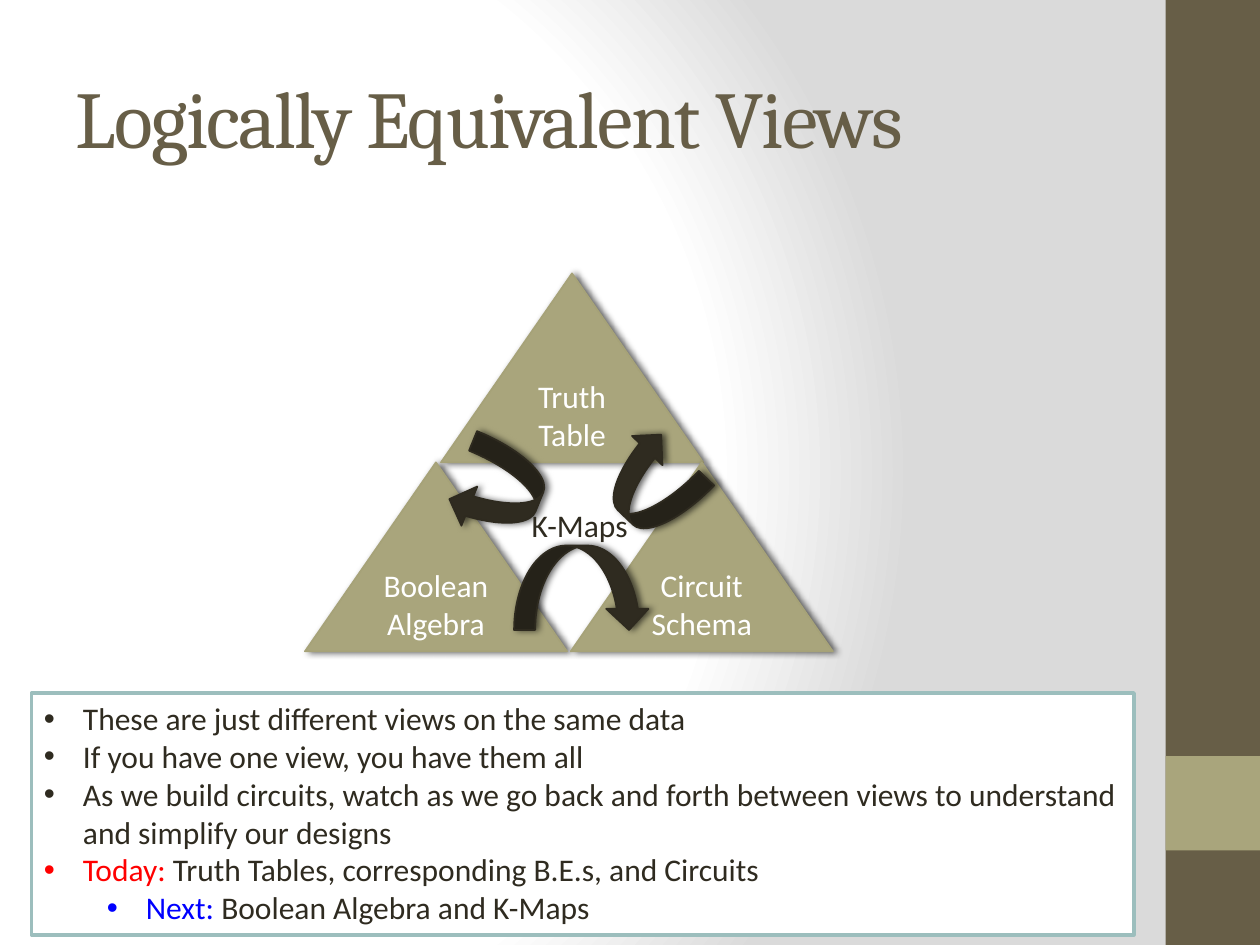
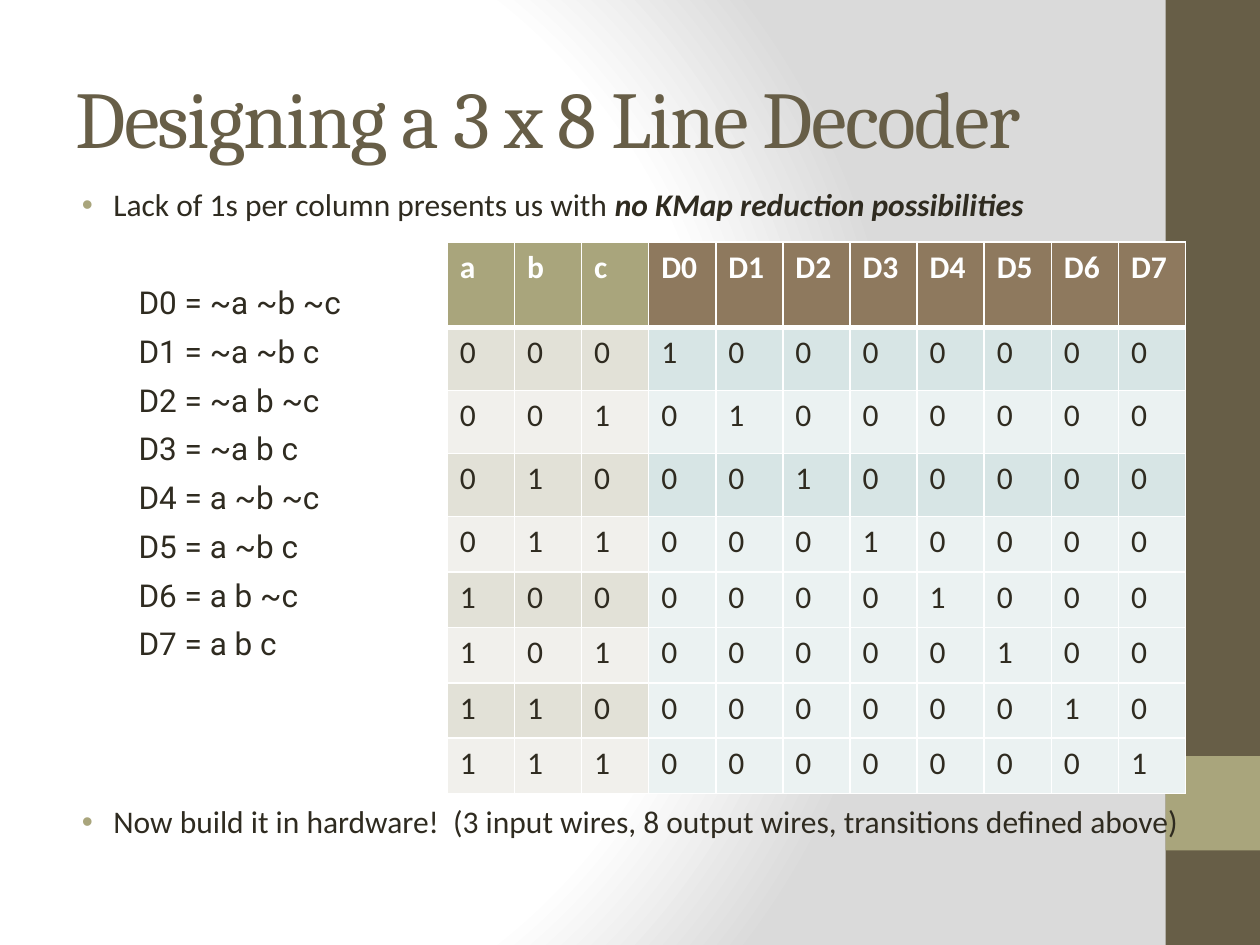
from dataclasses import dataclass
from typing import Optional

from lxml.etree import SubElement
from pptx import Presentation
from pptx.dml.color import RGBColor
from pptx.enum.shapes import MSO_SHAPE
from pptx.enum.text import MSO_ANCHOR, MSO_AUTO_SIZE, PP_ALIGN
from pptx.oxml import parse_xml
from pptx.oxml.ns import nsdecls, qn
from pptx.util import Inches, Pt

# Shared look
WHITE = RGBColor(0xFF, 0xFF, 0xFF)
BLACK = RGBColor(0x00, 0x00, 0x00)
GREY = RGBColor(0xDA, 0xDA, 0xDA)
INK = RGBColor(0x2F, 0x2B, 0x20)
INK_EDGE = RGBColor(0x2E, 0x2A, 0x1F)
BROWN = RGBColor(0x67, 0x5E, 0x47)
OLIVE = RGBColor(0xA9, 0xA5, 0x7C)
OLIVE_EDGE = RGBColor(0xA6, 0xA2, 0x78)
TEAL = RGBColor(0x9C, 0xBE, 0xBD)
RED = RGBColor(0xFF, 0x00, 0x00)
BLUE = RGBColor(0x00, 0x00, 0xFF)
OUTPUT_HEADER = RGBColor(0x8E, 0x79, 0x5E)
INPUT_DARK = RGBColor(0xE2, 0xE1, 0xD7)
INPUT_LIGHT = RGBColor(0xF1, 0xF0, 0xEC)
OUTPUT_DARK = RGBColor(0xD7, 0xE5, 0xE5)
OUTPUT_LIGHT = RGBColor(0xEB, 0xF2, 0xF2)
HEADING_FONT, BODY_FONT, EQUATION_FONT = "Cambria", "Calibri", "Roboto"

INPUTS = "abc"
OUTPUT_COUNT = 2 ** len(INPUTS)


@dataclass
class Area:
    left: float
    top: float
    width: float
    height: float

    def lengths(self) -> tuple:
        return tuple(Inches(n) for n in (self.left, self.top, self.width, self.height))


@dataclass
class Span:
    text: str
    color: RGBColor = INK
    emphasis: bool = False


@dataclass
class Figure:
    area: Area
    kind: MSO_SHAPE
    fill: RGBColor
    edge: Optional[RGBColor] = None
    edge_width: float = 1
    text: str = ""
    rotation: float = 0
    shadow: bool = False


TITLE_AREA = Area(0.5, 0.3, 8.33, 1.25)
BANDS = [
    Figure(Area(9.25, 0, 0.75, 7.5), MSO_SHAPE.RECTANGLE, BROWN),
    Figure(Area(9.25, 6, 0.75, 0.75), MSO_SHAPE.RECTANGLE, OLIVE),
]


def place(shape, area: Area) -> None:
    shape.left, shape.top, shape.width, shape.height = area.lengths()


def write(para, *spans: Span, font: str = BODY_FONT, size: float = 18, bold: bool = False,
          align=None, level: int = 0, margin: float = 0, indent: float = 0,
          bullet_color: Optional[RGBColor] = None, before: float = 0, spacing: Optional[float] = None):
    """Fill one paragraph with formatted spans."""
    para.level = level
    properties = para._p.get_or_add_pPr()
    properties.set("marL", str(Inches(margin)))
    properties.set("indent", str(Inches(indent)))
    if bullet_color is not None:
        color = SubElement(properties, qn("a:buClr"))
        SubElement(color, qn("a:srgbClr"), val=str(bullet_color))
        SubElement(properties, qn("a:buFont"), typeface="Arial")
        SubElement(properties, qn("a:buChar"), char="•")
    para.space_before = Pt(before)
    if spacing:
        para.line_spacing = spacing
    if align is not None:
        para.alignment = align
    for span in spans:
        run = para.add_run()
        run.text = span.text
        run.font.name, run.font.size = font, Pt(size)
        run.font.color.rgb = span.color
        run.font.bold = bold or span.emphasis
        run.font.italic = span.emphasis


def next_paragraph(frame, index: int):
    return frame.add_paragraph() if index else frame.paragraphs[0]


def draw_figure(page, figure: Figure):
    shape = page.shapes.add_shape(figure.kind, *figure.area.lengths())
    shape.rotation = figure.rotation
    shape.fill.solid()
    shape.fill.fore_color.rgb = figure.fill
    if figure.edge is None:
        shape.line.fill.background()
    else:
        shape.line.color.rgb = figure.edge
        shape.line.width = Pt(figure.edge_width)
    shape.shadow.inherit = False
    if figure.shadow:
        effects = shape._element.spPr.find(qn("a:effectLst"))
        outer = SubElement(effects, qn("a:outerShdw"), blurRad=str(Pt(4)), dist=str(Pt(2)),
                           dir="0", rotWithShape="0")
        color = SubElement(outer, qn("a:srgbClr"), val=str(BLACK))
        SubElement(color, qn("a:alpha"), val="60000")
    if figure.text:
        write(shape.text_frame.paragraphs[0], Span(figure.text, WHITE), align=PP_ALIGN.CENTER)
    return shape


def set_background(deck) -> None:
    """Give the master a radial gradient."""
    master = deck.slide_master
    master.background.fill.solid()
    solid = master.element.find(".//" + qn("p:bgPr")).find(qn("a:solidFill"))
    stops = "".join(f'<a:gs pos="{place * 1000}"><a:srgbClr val="{color}"/></a:gs>'
                    for place, color in ((0, WHITE), (75, WHITE), (100, GREY)))
    gradient = parse_xml(
        f'<a:gradFill {nsdecls("a")} rotWithShape="1"><a:gsLst>{stops}</a:gsLst><a:path path="circle">'
        '<a:fillToRect l="20000" t="50000" r="100000" b="50000"/></a:path></a:gradFill>')
    solid.getparent().replace(solid, gradient)


def add_page(deck, layout: int, title: str):
    page = deck.slides.add_slide(deck.slide_layouts[layout])
    # Bands go behind the placeholders
    for depth, band in enumerate(BANDS, start=2):
        page.shapes.element.insert(depth, draw_figure(page, band)._element)
    heading = page.shapes.title
    place(heading, TITLE_AREA)
    frame = heading.text_frame
    frame.auto_size = MSO_AUTO_SIZE.NONE
    frame.vertical_anchor = MSO_ANCHOR.MIDDLE
    write(frame.paragraphs[0], Span(title, BROWN), font=HEADING_FONT, size=46, align=PP_ALIGN.LEFT)
    frame.paragraphs[0].runs[0].font._element.set("spc", "-100")
    return page


def add_text_box(page, area: Area):
    frame = page.shapes.add_textbox(*area.lengths()).text_frame
    frame.word_wrap = True
    return frame


def set_border(cell, **widths: float) -> None:
    """Draw white cell sides, widths in points."""
    properties = cell._tc.get_or_add_tcPr()
    for index, (side, width) in enumerate(widths.items()):
        line = parse_xml(f'<a:{side} {nsdecls("a")} w="{Pt(width)}"><a:solidFill>'
                         f'<a:srgbClr val="{WHITE}"/></a:solidFill></a:{side}>')
        properties.insert(index, line)


def build_views(deck) -> None:
    page = add_page(deck, 5, "Logically Equivalent Views")

    # Triangle of views
    for left, top, name in ((2.42, 3.67, "Boolean Algebra"), (3.5, 2.17, "Truth Table"),
                            (4.53, 3.67, "Circuit Schema")):
        draw_figure(page, Figure(Area(left, top, 2.08, 1.5), MSO_SHAPE.ISOSCELES_TRIANGLE,
                                 OLIVE, OLIVE_EDGE, text=name, shadow=True))

    # Remarks
    remarks = draw_figure(page, Figure(Area(0.25, 5.5, 8.75, 1.92), MSO_SHAPE.RECTANGLE,
                                       WHITE, TEAL, edge_width=2))
    frame = remarks.text_frame
    frame.vertical_anchor = MSO_ANCHOR.TOP
    lines = [
        [Span("These are just different views on the same data")],
        [Span("If you have one view, you have them all")],
        [Span("As we build circuits, watch as we go back and forth between views "
              "to understand and simplify our designs")],
        [Span("Today:", RED), Span(" Truth Tables, corresponding B.E.s, and Circuits")],
        [Span("Next:", BLUE), Span(" Boolean Algebra and K-Maps")],
    ]
    for index, spans in enumerate(lines):
        level = int(index == len(lines) - 1)
        write(next_paragraph(frame, index), *spans, align=PP_ALIGN.LEFT, level=level,
              margin=0.31 + 0.5 * level, indent=-0.31, bullet_color=spans[0].color)

    # Arrows between views
    for area, rotation in ((Area(3.58, 3.56, 0.75, 0.67), 112.1), (Area(4.08, 4.33, 1.08, 0.67), 0),
                           (Area(4.79, 3.5, 0.75, 0.67), 223.8)):
        draw_figure(page, Figure(area, MSO_SHAPE.CURVED_DOWN_ARROW, INK, INK_EDGE,
                                 rotation=rotation, shadow=True))
    write(add_text_box(page, Area(4.12, 3.97, 1.08, 0.42)).paragraphs[0], Span("K-Maps"))


def add_truth_table(page) -> None:
    area = Area(3.55, 1.92, 5.86, 4.38)
    columns = len(INPUTS) + OUTPUT_COUNT
    graphic = page.shapes.add_table(OUTPUT_COUNT + 1, columns, *area.lengths())
    table = graphic.table
    for column in table.columns:
        column.width = Inches(area.width / columns)
    for row, height in zip(table.rows, [0.68] + [0.5] * 3 + [0.44] * 5):
        row.height = Inches(height)

    header = list(INPUTS) + [f"D{n}" for n in range(OUTPUT_COUNT)]
    rows = [header] + [list(f"{n:03b}") + [str(int(n == line)) for line in range(OUTPUT_COUNT)]
                       for n in range(OUTPUT_COUNT)]
    for r, values in enumerate(rows):
        for c, value in enumerate(values):
            is_input = c < len(INPUTS)
            if r == 0:
                fill = OLIVE if is_input else OUTPUT_HEADER
            elif is_input:
                fill = INPUT_DARK if r % 2 else INPUT_LIGHT
            else:
                fill = OUTPUT_DARK if r in (1, 3) else OUTPUT_LIGHT
            cell = table.cell(r, c)
            cell.fill.solid()
            cell.fill.fore_color.rgb = fill
            set_border(cell, lnL=1, lnR=1, lnT=3 if r == 1 else 1, lnB=3 if r == 0 else 1)
            write(cell.text_frame.paragraphs[0], Span(value, INK if r else WHITE), bold=r == 0)


def build_decoder(deck) -> None:
    page = add_page(deck, 1, "Designing a 3 x 8 Line Decoder")

    # Points above and below the table
    body = page.placeholders[1]
    place(body, Area(0.42, 1.42, 9.83, 5.53))
    frame = body.text_frame
    frame.auto_size = MSO_AUTO_SIZE.NONE
    points = [
        (0, [Span("Lack of 1s per column presents us with "),
             Span("no KMap reduction possibilities", emphasis=True)]),
        (331, [Span("Now build it in hardware!  (3 input wires, 8 output wires, "
                    "transitions defined above)")]),
    ]
    for index, (before, spans) in enumerate(points):
        write(next_paragraph(frame, index), *spans, margin=0.38, indent=-0.25,
              bullet_color=OLIVE, before=before)

    # Equation of each output line
    frame = add_text_box(page, Area(0.1, 2.17, 5.58, 4.37))
    frame.margin_left = frame.margin_right = 0
    for n in range(OUTPUT_COUNT):
        terms = [name if bit == "1" else "~" + name for name, bit in zip(INPUTS, f"{n:03b}")]
        write(next_paragraph(frame, n), Span(f"D{n} = {' '.join(terms)}"), font=EQUATION_FONT,
              level=2, margin=1, before=4.1 if n else 0, spacing=1.1)

    add_truth_table(page)


def main() -> None:
    deck = Presentation()
    deck.slide_width, deck.slide_height = Inches(10), Inches(7.5)
    set_background(deck)
    build_views(deck)
    build_decoder(deck)
    deck.save("out.pptx")


if __name__ == "__main__":
    main()
